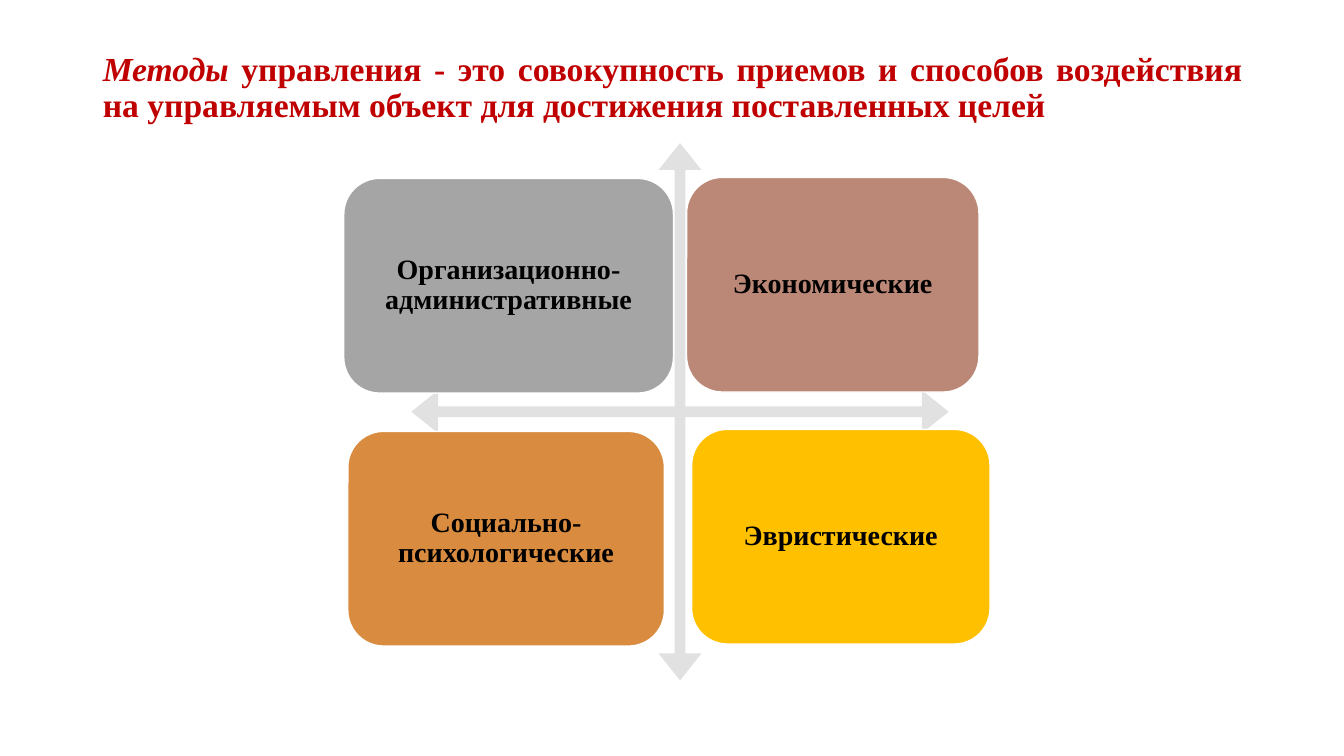
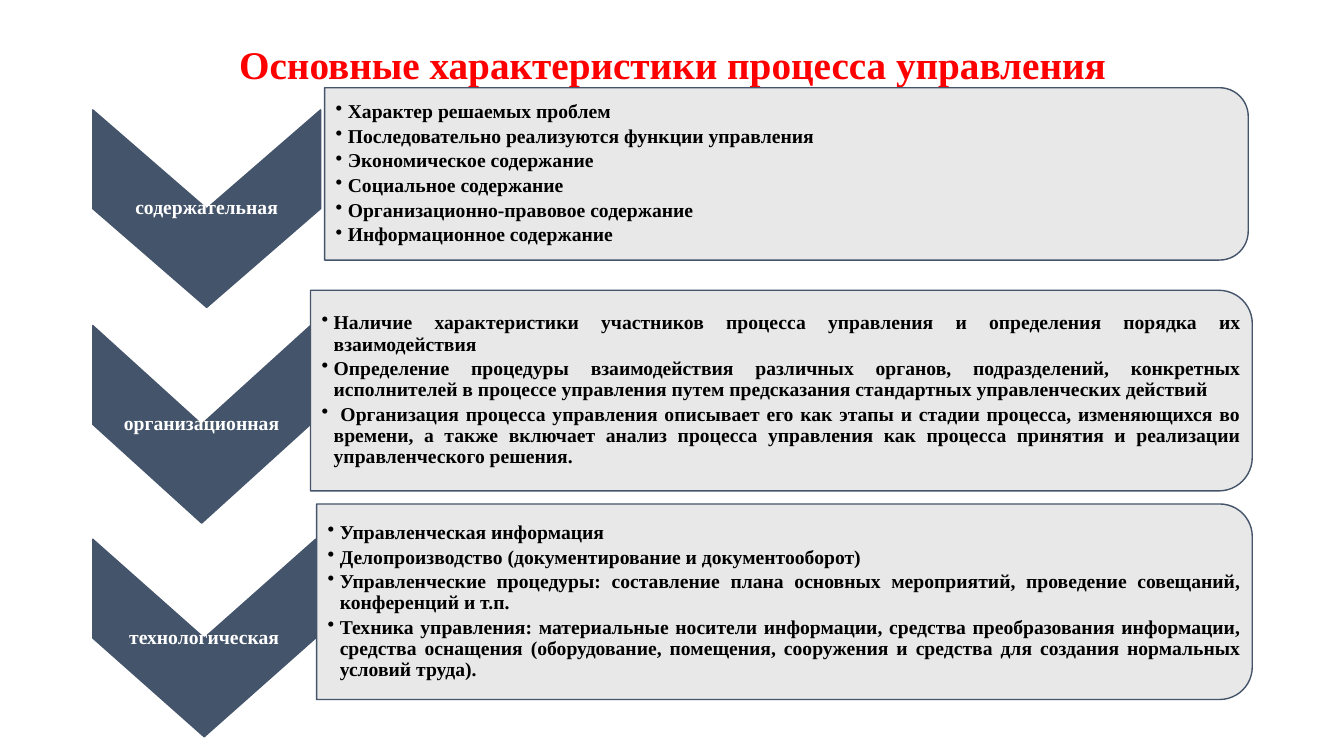
from lxml import etree
from pptx import Presentation
from pptx import util as u
from pptx.dml.color import RGBColor
from pptx.enum import shapes, text
from pptx.oxml import ns

INK, NAVY, PANEL, WHITE = "000000", "44546A", "E7E6E6", "FFFFFF"
FONT = "Times New Roman"
CENTER, JUSTIFY = text.PP_ALIGN.CENTER, text.PP_ALIGN.JUSTIFY
KINDS = shapes.MSO_SHAPE


def write(frame, lines, size, color, align, margin=0.01, gap=0):
    frame.word_wrap = True
    frame.auto_size = text.MSO_AUTO_SIZE.NONE
    frame.vertical_anchor = text.MSO_ANCHOR.MIDDLE
    frame.margin_left = frame.margin_right = u.Inches(margin)
    frame.margin_top = frame.margin_bottom = u.Inches(margin)
    for number, line in enumerate(lines):
        paragraph = frame.add_paragraph() if number else frame.paragraphs[0]
        paragraph.text = line
        paragraph.alignment = align
        paragraph.line_spacing = 0.9
        paragraph.space_before = u.Pt(0)
        paragraph.space_after = u.Pt(gap)
        font = paragraph.font
        font.name, font.size, font.bold = FONT, u.Pt(size), True
        font.color.rgb = RGBColor.from_string(color)


def draw(slide, kind, left, top, width, height, fill, line=None, turned=False):
    if turned:
        left, top = left + (width - height) / 2, top + (height - width) / 2
        width, height = height, width
    figure = slide.shapes.add_shape(
        kind, u.Inches(left), u.Inches(top), u.Inches(width), u.Inches(height))
    figure.rotation = 90 if turned else 0
    figure.shadow.inherit = False
    figure.fill.solid()
    figure.fill.fore_color.rgb = RGBColor.from_string(fill)
    if line:
        figure.line.color.rgb = RGBColor.from_string(line)
        figure.line.width = u.Pt(1)
    else:
        figure.line.fill.background()
    return figure


deck = Presentation()
deck.slide_width, deck.slide_height = u.Inches(13.33), u.Inches(7.5)

headings = [
    ("Методы\u00a0управления - это совокупность приемов и способов воздействия "
     "на управляемым объект для достижения поставленных целей".replace("\u00a0", " "),
     0.96, 24, "C00000", JUSTIFY),
    ("Основные характеристики процесса управления", 0.52, 28, "FF0000", CENTER),
]
slides = []
for heading, height, size, color, align in headings:
    slide = deck.slides.add_slide(deck.slide_layouts[5])
    title = slide.shapes.title
    title.left, title.top = u.Inches(0.92), u.Inches(0.4)
    title.width, title.height = u.Inches(11.5), u.Inches(height)
    write(title.text_frame, [heading], size, color, align, margin=0.1)
    slides.append(slide)
methods, process = slides

definition = methods.shapes.title.text_frame.paragraphs[0]
term = definition.runs[0]
rest = definition.add_run()
term.text, rest.text = "Методы", term.text.removeprefix("Методы")
term.font.italic = True

axes = draw(methods, KINDS.QUAD_ARROW, 4.08, 1.42, 5.33, 5.33, "E1E1E1")
for index, share in enumerate((0.02, 0.04, 0.05)):
    axes.adjustments[index] = share

method_cards = [
    ("Организационно-административные", 3.41, 1.77, 3.27, "A5A5A5"),
    ("Экономические", 6.81, 1.76, 2.9, "BB8776"),
    ("Социально-психологические", 3.45, 4.28, 3.14, "D98C3F"),
    ("Эвристические", 6.86, 4.26, 2.96, "FFC000"),
]
for method, left, top, width, fill in method_cards:
    card = draw(methods, KINDS.ROUNDED_RECTANGLE, left, top, width, 2.13, fill, WHITE)
    write(card.text_frame, [method], 20, INK, CENTER, margin=0.08)

aspects = [
    ("содержательная", 1.09, 2.26, (3.22, 0.87, 9.16, 1.71), [
        "Характер решаемых проблем",
        "Последовательно реализуются функции управления",
        "Экономическое содержание",
        "Социальное содержание",
        "Организационно-правовое содержание",
        "Информационное содержание",
    ]),
    ("организационная", 3.23, 2.16, (3.08, 2.88, 9.34, 1.99), [
        "Наличие характеристики участников процесса управления и определения "
        "порядка их взаимодействия",
        "Определение процедуры взаимодействия различных органов, подразделений, "
        "конкретных исполнителей в процессе управления путем предсказания "
        "стандартных управленческих действий",
        " Организация процесса управления описывает его как этапы и стадии "
        "процесса, изменяющихся во времени, а также включает анализ процесса "
        "управления как процесса принятия и реализации управленческого решения.",
    ]),
    ("технологическая", 5.35, 2.21, (3.14, 5.0, 9.28, 1.94), [
        "Управленческая информация",
        "Делопроизводство (документирование и документооборот)",
        "Управленческие процедуры: составление плана основных мероприятий, "
        "проведение совещаний, конференций и т.п.",
        "Техника управления: материальные носители информации, средства "
        "преобразования информации, средства оснащения (оборудование, помещения, "
        "сооружения и средства для создания нормальных условий труда).",
    ]),
]
for aspect, top, width, panel_box, features in aspects:
    draw(process, KINDS.CHEVRON, 0.92, top, width, 1.96, NAVY, NAVY, turned=True)
    label = process.shapes.add_textbox(
        u.Inches(0.92), u.Inches(top), u.Inches(width), u.Inches(1.96))
    write(label.text_frame, [aspect], 14, WHITE, CENTER)

    panel = draw(process, KINDS.ROUND_2_SAME_RECTANGLE, *panel_box, PANEL, NAVY, turned=True)
    tint = panel.fill._xPr.find(ns.qn("a:solidFill"))[0]
    etree.SubElement(tint, ns.qn("a:alpha"), val="90000")

    left, panel_top, panel_width, panel_height = panel_box
    feature_list = process.shapes.add_textbox(
        u.Inches(left), u.Inches(panel_top + 0.08),
        u.Inches(panel_width - 0.1), u.Inches(panel_height - 0.16))
    write(feature_list.text_frame, features, 14, INK, JUSTIFY, gap=2.5)
    feature_list.text_frame.margin_left = u.Inches(0.11)
    for paragraph in feature_list.text_frame.paragraphs:
        properties = paragraph._p.get_or_add_pPr()
        properties.set("marL", str(u.Inches(0.12)))
        properties.set("indent", str(-u.Inches(0.12)))
        bullet = etree.Element(ns.qn("a:buChar"), char="•")
        properties.find(ns.qn("a:spcAft")).addnext(bullet)

deck.save("out.pptx")
